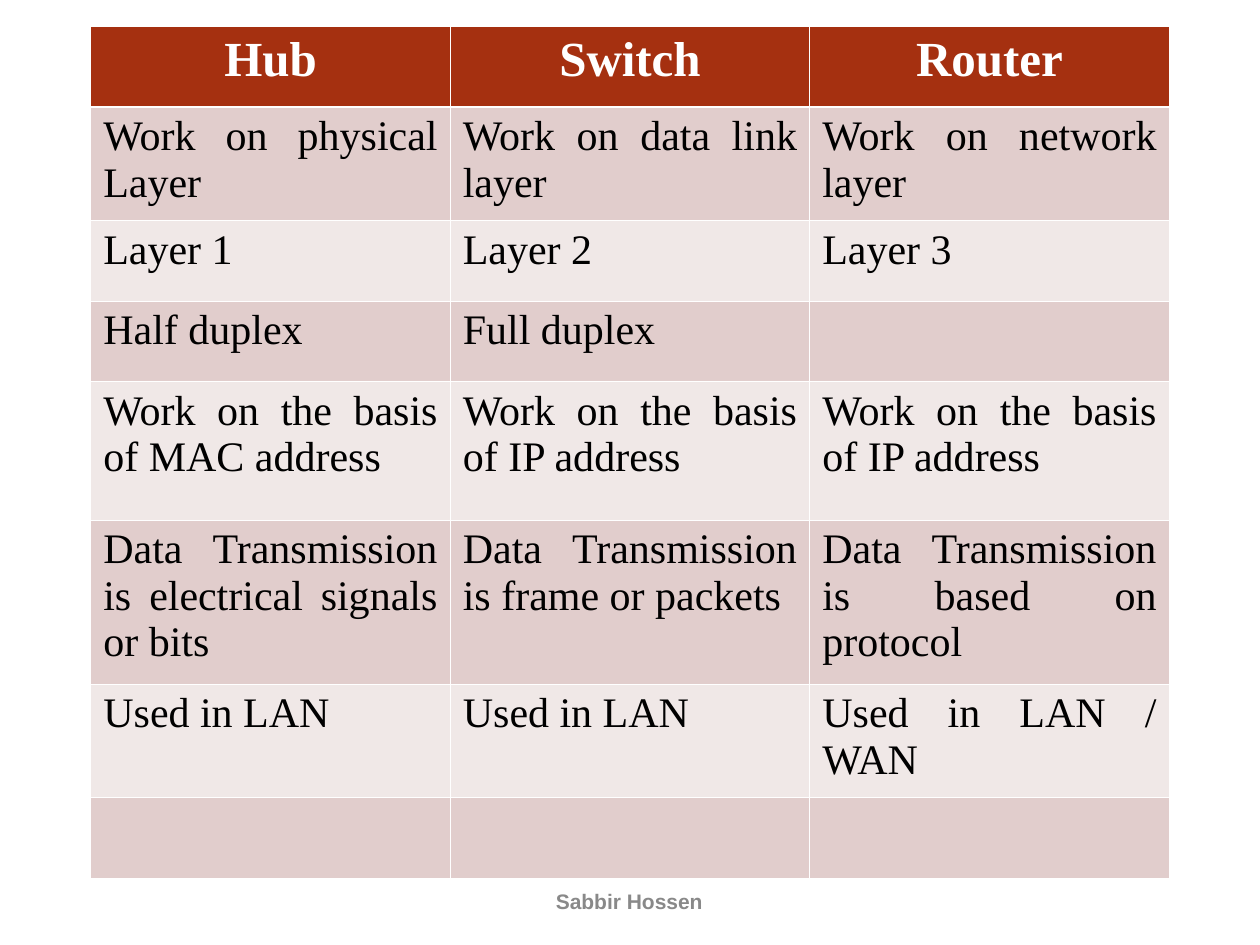
from lxml import etree
from pptx import Presentation
from pptx import util as u
from pptx.dml.color import RGBColor
from pptx.enum import text
from pptx.oxml.ns import qn

WHITE = "FFFFFF"
HEADER_FILL = "A53010"
BAND_FILLS = ("E1CDCC", "F0E8E7")
ROW_HEIGHTS = (0.64, 0.9, 0.64, 0.64, 1.1, 1.3, 0.9, 0.64)
ROWS = (
    ("Hub", "Switch", "Router"),
    ("Work on physical Layer", "Work on data link layer", "Work on network layer"),
    ("Layer 1", "Layer 2", "Layer 3"),
    ("Half duplex", "Full duplex", ""),
    ("Work on the basis of MAC address", "Work on the basis of IP address",
     "Work on the basis of IP address"),
    ("Data Transmission is electrical signals or bits",
     "Data Transmission is frame or packets",
     "Data Transmission is based on protocol"),
    ("Used in LAN", "Used in LAN", "Used in LAN / WAN"),
    ("", "", ""),
)


def color(value):
    return RGBColor.from_string(value)


def write_text(frame, content, size, font="Times New Roman", fill="000000",
               bold=False, align=text.PP_ALIGN.JUSTIFY):
    paragraph = frame.paragraphs[0]
    paragraph.alignment = align
    paragraph.font.size = u.Pt(size)
    if content:
        run = paragraph.add_run()
        run.text = content
        run.font.name = font
        run.font.size = u.Pt(size)
        run.font.bold = bold
        run.font.color.rgb = color(fill)


def set_borders(cell, widths):
    properties = cell._tc.get_or_add_tcPr()
    for index, (side, width) in enumerate(widths.items()):
        line = etree.Element(qn(f"a:ln{side}"), w=str(u.Pt(width)))
        fill = etree.SubElement(line, qn("a:solidFill"))
        etree.SubElement(fill, qn("a:srgbClr"), val=WHITE)
        properties.insert(index, line)


def add_comparison_table(slide, left, top, width, height):
    shape = slide.shapes.add_table(len(ROWS), len(ROWS[0]), left, top, width, height)
    table = shape.table
    for column in table.columns:
        column.width = width // len(ROWS[0])
    for row_index, (row, row_height) in enumerate(zip(ROWS, ROW_HEIGHTS)):
        table.rows[row_index].height = u.Inches(row_height)
        header = row_index == 0
        for column_index, content in enumerate(row):
            cell = table.cell(row_index, column_index)
            cell.fill.solid()
            cell.fill.fore_color.rgb = color(
                HEADER_FILL if header else BAND_FILLS[(row_index - 1) % 2])
            set_borders(cell, {"L": 0.45, "R": 0.45,
                               "T": 1.47 if row_index == 1 else 0.45,
                               "B": 1.47 if header else 0.45})
            if header:
                write_text(cell.text_frame, content, 28, fill=WHITE, bold=True,
                           align=text.PP_ALIGN.CENTER)
            else:
                write_text(cell.text_frame, content, 24)


def add_footer(slide, left, top, width, height):
    frame = slide.shapes.add_textbox(left, top, width, height).text_frame
    frame.word_wrap = True
    frame.vertical_anchor = text.MSO_ANCHOR.MIDDLE
    write_text(frame, "Sabbir Hossen", 12, font="Arial", fill="898989", bold=True,
               align=text.PP_ALIGN.CENTER)


def main():
    presentation = Presentation()
    presentation.slide_width = u.Inches(10)
    presentation.slide_height = u.Inches(7.5)
    slide = presentation.slides.add_slide(presentation.slide_layouts[6])
    add_comparison_table(slide, u.Inches(0.72), u.Inches(0.21),
                         u.Inches(8.56), u.Inches(sum(ROW_HEIGHTS)))
    add_footer(slide, u.Inches(3.31), u.Inches(6.95), u.Inches(3.37), u.Inches(0.4))
    presentation.save("out.pptx")


if __name__ == "__main__":
    main()
